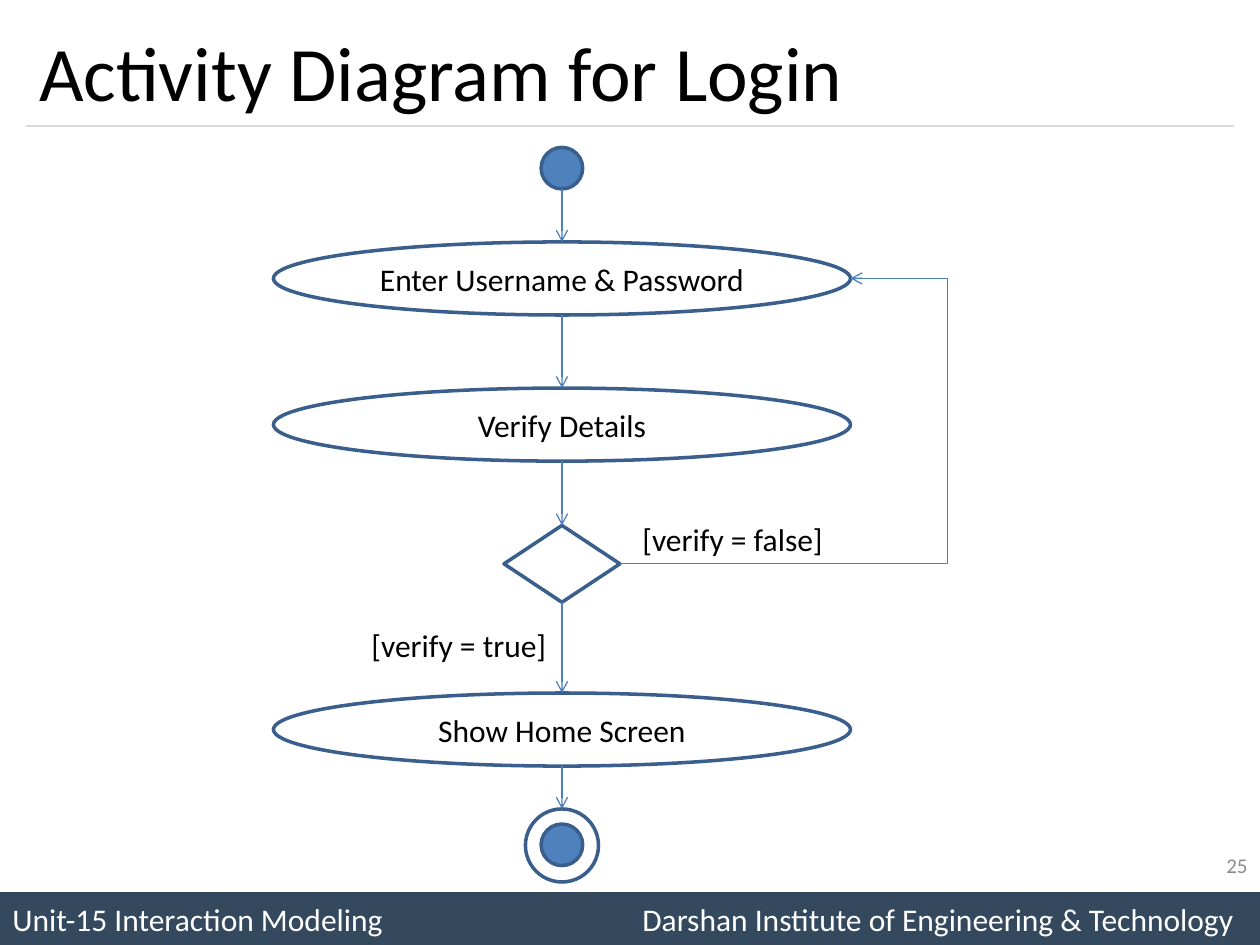
"""Build a slide with the activity diagram for a login."""
from lxml import etree
from pptx import Presentation
from pptx.dml.color import RGBColor
from pptx.enum.shapes import MSO_CONNECTOR, MSO_SHAPE
from pptx.enum.text import MSO_ANCHOR, MSO_AUTO_SIZE, PP_ALIGN
from pptx.oxml.ns import qn
from pptx.util import Inches, Pt

STRAIGHT, ELBOW = MSO_CONNECTOR.STRAIGHT, MSO_CONNECTOR.ELBOW
OVAL, DIAMOND, RECTANGLE = MSO_SHAPE.OVAL, MSO_SHAPE.FLOWCHART_DECISION, MSO_SHAPE.RECTANGLE
LEFT, CENTER, RIGHT = PP_ALIGN.LEFT, PP_ALIGN.CENTER, PP_ALIGN.RIGHT
TOP, MIDDLE = MSO_ANCHOR.TOP, MSO_ANCHOR.MIDDLE

WHITE = RGBColor(0xFF, 0xFF, 0xFF)
BLACK = RGBColor(0, 0, 0)
GRAY = RGBColor(0x8C, 0x8C, 0x8C)
RULE_GRAY = RGBColor(0xD9, 0xD9, 0xD9)
NAVY = RGBColor(0x34, 0x49, 0x5E)
BLUE = RGBColor(0x4F, 0x81, 0xBD)
OUTLINE = RGBColor(0x3A, 0x5F, 0x8C)
ARROW = RGBColor(0x4B, 0x7E, 0xBC)

TITLE = "Activity Diagram for Login"
FOOTER = "Unit-15 Interaction Modeling\tDarshan Institute of Engineering & Technology"
PAGE_NUMBER = "25"
AXIS = 4.46
FOOTER_TAB = 5
RETURN_X = 7.52

# kind, top, width, height, fill, text
START = (OVAL, 1.17, 0.33, 0.33, BLUE, "")
ENTER = (OVAL, 1.92, 4.58, 0.58, WHITE, "Enter Username & Password")
VERIFY = (OVAL, 3.08, 4.58, 0.58, WHITE, "Verify Details")
DECISION = (DIAMOND, 4.17, 0.92, 0.61, WHITE, "")
HOME = (OVAL, 5.5, 4.58, 0.58, WHITE, "Show Home Screen")
END_RING = (OVAL, 6.42, 0.58, 0.58, WHITE, "")
END_DOT = (OVAL, 6.54, 0.33, 0.33, BLUE, "")
FLOW = [START, ENTER, VERIFY, DECISION, HOME, END_RING]
GUARDS = [("[verify = false]", 5, 4.08, 1.65), ("[verify = true]", 2.85, 4.92, 1.6)]


def write_text(shape, text, size=18, color=BLACK, align=LEFT, anchor=MIDDLE, wrap=True):
    frame = shape.text_frame
    frame.auto_size = MSO_AUTO_SIZE.NONE if wrap else MSO_AUTO_SIZE.SHAPE_TO_FIT_TEXT
    frame.word_wrap = wrap
    frame.vertical_anchor = anchor
    paragraph = frame.paragraphs[0]
    paragraph.alignment = align
    run = paragraph.add_run()
    run.text = text
    run.font.name = "Calibri"
    run.font.size = Pt(size)
    run.font.color.rgb = color


def add_filled(slide, kind, left, top, width, height, fill):
    shape = slide.shapes.add_shape(kind, *map(Inches, (left, top, width, height)))
    shape.shadow.inherit = False
    shape.fill.solid()
    shape.fill.fore_color.rgb = fill
    return shape


def add_node(slide, node):
    kind, top, width, height, fill, text = node
    shape = add_filled(slide, kind, AXIS - width / 2, top, width, height, fill)
    shape.line.color.rgb = OUTLINE
    shape.line.width = Pt(2)
    if text:
        write_text(shape, text, align=CENTER)


def add_line(slide, start, end, color=ARROW, kind=STRAIGHT, arrow=True):
    connector = slide.shapes.add_connector(kind, *map(Inches, (*start, *end)))
    connector.line.color.rgb = color
    connector.line.width = Pt(0.75)
    properties = connector._element.spPr
    if arrow:
        etree.SubElement(properties.find(qn("a:ln")), qn("a:tailEnd"), type="arrow")
    etree.SubElement(properties, qn("a:effectLst"))
    return connector


def add_return(slide):
    start = (AXIS + DECISION[2] / 2, DECISION[1] + DECISION[3] / 2)
    end = (AXIS + ENTER[2] / 2, ENTER[1] + ENTER[3] / 2)
    connector = add_line(slide, start, end, kind=ELBOW)
    bend = round((RETURN_X - start[0]) / (end[0] - start[0]) * 100000)
    guides = connector._element.spPr.find(qn("a:prstGeom")).get_or_add_avLst()
    etree.SubElement(guides, qn("a:gd"), name="adj1", fmla=f"val {bend}")


def add_label(slide, text, left, top, width, **text_format):
    box = slide.shapes.add_textbox(*map(Inches, (left, top, width, 0.4)))
    write_text(box, text, **text_format)


def add_frame(slide):
    footer = add_filled(slide, RECTANGLE, 0, 7.08, 10, 0.42, NAVY)
    footer.line.fill.background()
    properties = footer.text_frame.paragraphs[0]._p.get_or_add_pPr()
    tabs = etree.SubElement(properties, qn("a:tabLst"))
    etree.SubElement(tabs, qn("a:tab"), pos=str(Inches(FOOTER_TAB)), algn="l")
    write_text(footer, FOOTER, color=WHITE)
    add_line(slide, (0.21, 1), (9.79, 1), color=RULE_GRAY, arrow=False)
    title = slide.shapes.title
    title.left, title.top, title.width, title.height = map(Inches, (0.21, 0.12, 9.58, 0.88))
    write_text(title, TITLE, size=44)
    add_label(slide, PAGE_NUMBER, 7.67, 6.67, 2.33, size=12, color=GRAY, align=RIGHT)


def main():
    presentation = Presentation()
    presentation.slide_width, presentation.slide_height = Inches(10), Inches(7.5)
    slide = presentation.slides.add_slide(presentation.slide_layouts[5])
    add_frame(slide)
    for node in FLOW + [END_DOT]:
        add_node(slide, node)
    for upper, lower in zip(FLOW, FLOW[1:]):
        add_line(slide, (AXIS, upper[1] + upper[3]), (AXIS, lower[1]))
    add_return(slide)
    for text, left, top, width in GUARDS:
        add_label(slide, text, left, top, width, anchor=TOP, wrap=False)
    presentation.save("out.pptx")


if __name__ == "__main__":
    main()
